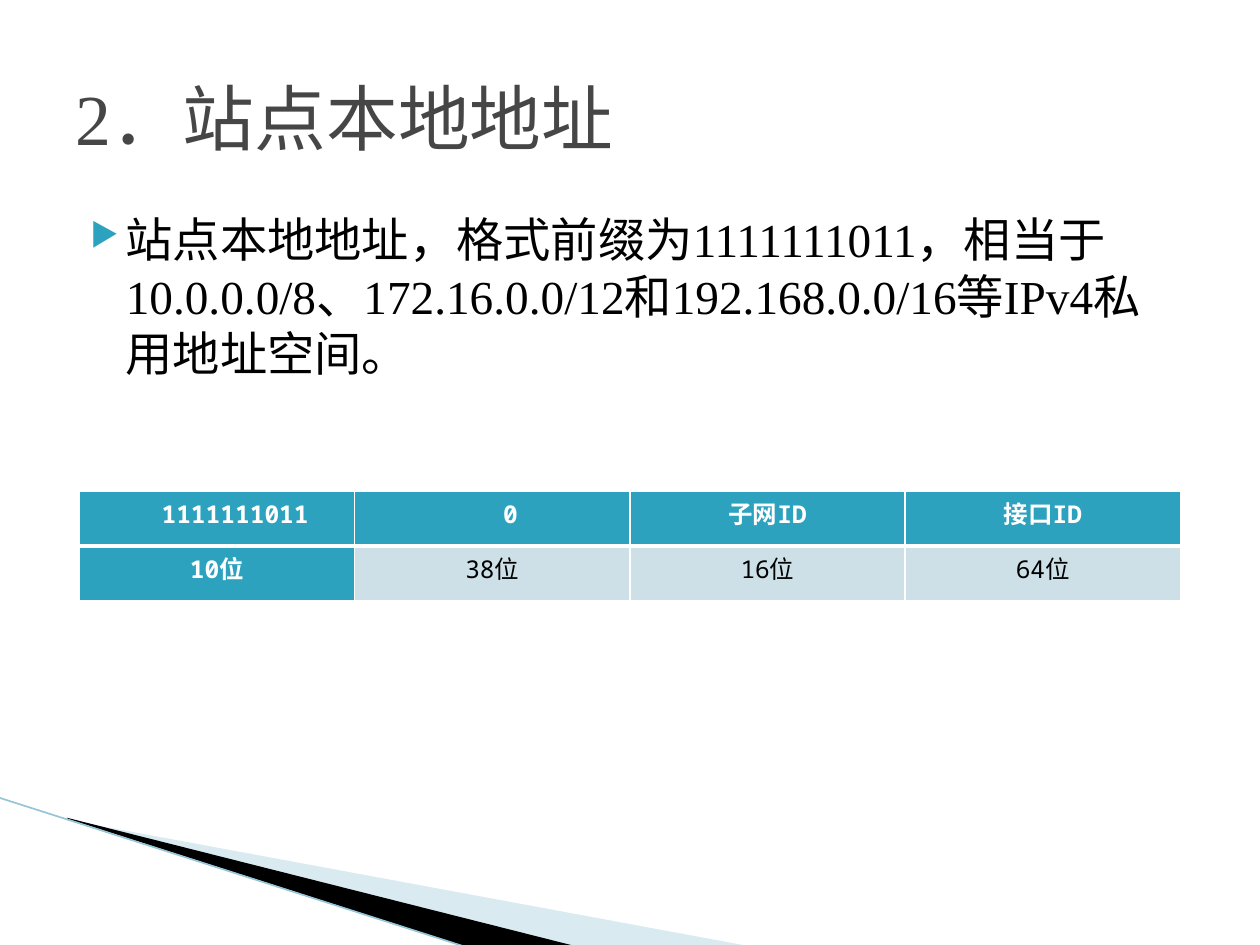
from lxml.etree import SubElement
from pptx import Presentation
from pptx.dml.color import RGBColor
from pptx.enum.shapes import MSO_CONNECTOR
from pptx.enum.text import MSO_ANCHOR, PP_ALIGN
from pptx.oxml.ns import qn
from pptx.util import Inches, Pt

COLORS = {"title": "464646", "text": "000000", "accent": "2DA2BF", "pale": "CDE0E8",
          "white": "FFFFFF", "wedge": "A0CBDC", "black": "000000", "edge": "97C5D8"}
SERIF, MONO = "Times New Roman", "Noto Sans Mono"

TITLE = "2．站点本地地址"
BODY = ("站点本地地址，格式前缀为1111111011，相当于10.0.0.0/8、172.16.0.0/12"
        "和192.168.0.0/16等IPv4私用地址空间。")
ADDRESS_FIELDS = [["1111111011", "0", "子网ID", "接口ID"],
                  ["10位", "38位", "16位", "64位"]]
INDENTED_FIELDS = {"1111111011", "0"}
# Colour, opacity in percent, corner points
WEDGES = [("wedge", 40, [(0.55, 6.51), (5.95, 7.51), (4.56, 7.51), (0.55, 6.5)]),
          ("black", 100, [(0.53, 6.49), (4.57, 7.51), (3.72, 7.52), (0.54, 6.5)])]


def rgb(name):
    return RGBColor.from_string(COLORS[name])


def set_font(paragraph, color, **values):
    for name, value in values.items():
        setattr(paragraph.font, name, value)
    paragraph.font.color.rgb = rgb(color)


def add_text(slide, box, text, anchor):
    frame = slide.shapes.add_textbox(*map(Inches, box)).text_frame
    frame.word_wrap = True
    frame.vertical_anchor = anchor
    frame.text = text
    return frame.paragraphs[0]


def add_bullet(paragraph):
    properties = paragraph._p.get_or_add_pPr()
    properties.set("marL", str(Inches(0.4)))
    properties.set("indent", str(Inches(-0.28)))
    color = SubElement(properties, qn("a:buClr"))
    SubElement(color, qn("a:srgbClr"), val=COLORS["accent"])
    SubElement(properties, qn("a:buSzPct"), val="68000")
    SubElement(properties, qn("a:buChar"), char="▶")


def set_borders(cell, widths):
    properties = cell._tc.get_or_add_tcPr()
    for position, (side, width) in enumerate(widths.items()):
        line = properties.makeelement(qn(f"a:ln{side}"), {"w": str(Pt(width))})
        fill = SubElement(line, qn("a:solidFill"))
        SubElement(fill, qn("a:srgbClr"), val=COLORS["white"])
        properties.insert(position, line)


presentation = Presentation()
presentation.slide_width, presentation.slide_height = Inches(10), Inches(7.5)
slide = presentation.slides.add_slide(presentation.slide_layouts[6])

# Corner decoration
for color, opacity, points in WEDGES:
    corners = [(Inches(x), Inches(y)) for x, y in points]
    builder = slide.shapes.build_freeform(*corners[0])
    builder.add_line_segments(corners[1:], close=True)
    wedge = builder.convert_to_shape()
    wedge.shadow.inherit = False
    wedge.fill.solid()
    wedge.fill.fore_color.rgb = rgb(color)
    wedge.line.fill.background()
    if opacity < 100:
        fill_color = wedge._element.spPr.find(qn("a:solidFill"))[0]
        SubElement(fill_color, qn("a:alpha"), val=str(opacity * 1000))

edge = slide.shapes.add_connector(MSO_CONNECTOR.STRAIGHT, *map(Inches, (-0.01, 6.33, 3.71, 7.52)))
edge.line.color.rgb = rgb("edge")
edge.line.width = Pt(0.95)
SubElement(edge._element.spPr, qn("a:effectLst"))

# Title and bullet
title = add_text(slide, (0.5, 0.3, 9, 1.25), TITLE, MSO_ANCHOR.MIDDLE)
set_font(title, "title", name=SERIF, size=Pt(41))
body = add_text(slide, (0.5, 1.62, 9, 4.95), BODY, MSO_ANCHOR.TOP)
add_bullet(body)
set_font(body, "text", name=SERIF, size=Pt(27))

# Address format table
rows, columns = len(ADDRESS_FIELDS), len(ADDRESS_FIELDS[0])
table = slide.shapes.add_table(rows, columns, *map(Inches, (0.63, 3.9, 8.74, 0.87))).table
table.horz_banding = False
for row, texts in enumerate(ADDRESS_FIELDS):
    for column, text in enumerate(texts):
        cell = table.cell(row, column)
        heading = row == 0 or column == 0
        cell.text = text
        cell.vertical_anchor = MSO_ANCHOR.MIDDLE
        cell.margin_left = cell.margin_right = Inches(0.07)
        cell.margin_top = cell.margin_bottom = 0
        cell.fill.solid()
        cell.fill.fore_color.rgb = rgb("accent" if heading else "pale")
        set_borders(cell, {"L": 1, "R": 1, "T": 3 if row else 1, "B": 1 if row else 3})
        paragraph = cell.text_frame.paragraphs[0]
        paragraph.alignment = PP_ALIGN.CENTER
        paragraph.line_spacing = Pt(13.5)
        paragraph.space_after = Pt(1)
        if text in INDENTED_FIELDS:
            paragraph._p.get_or_add_pPr().set("indent", str(Inches(0.29)))
        set_font(paragraph, "white" if heading else "text", name=MONO, size=Pt(14), bold=heading)

presentation.save("out.pptx")
